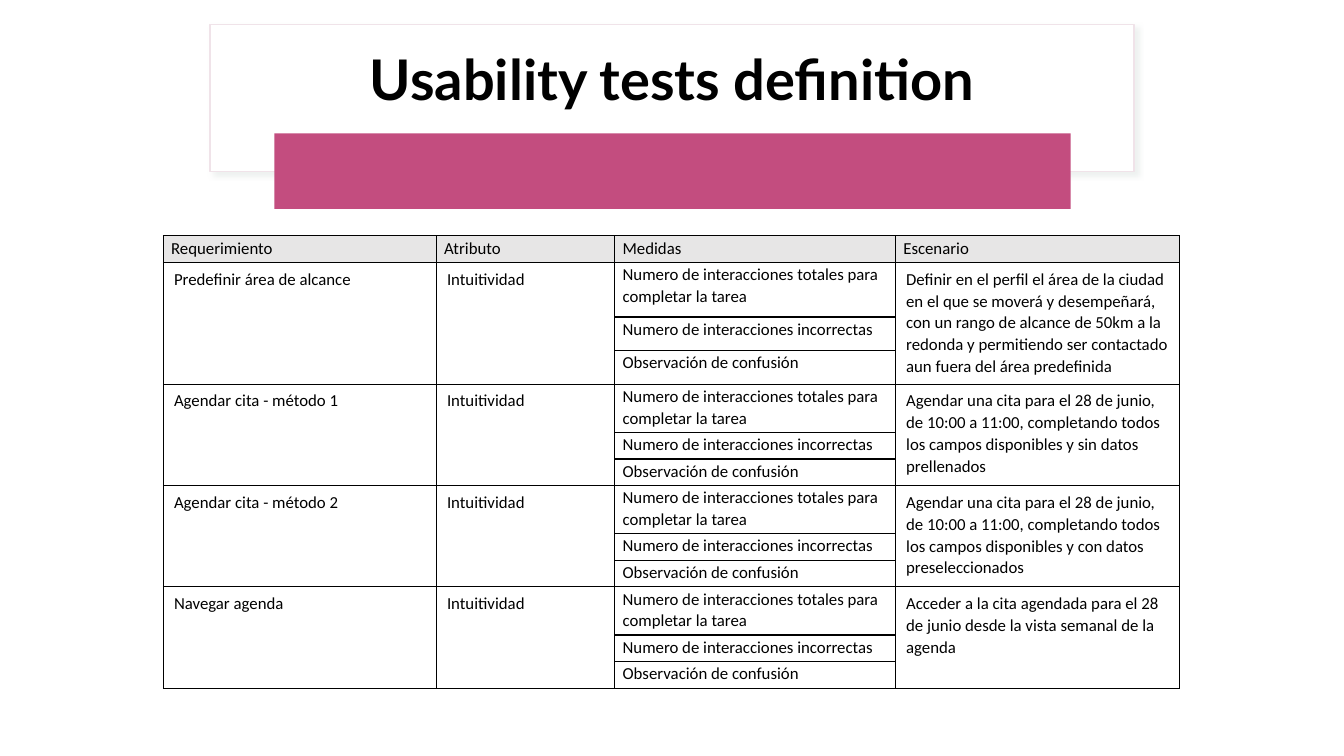
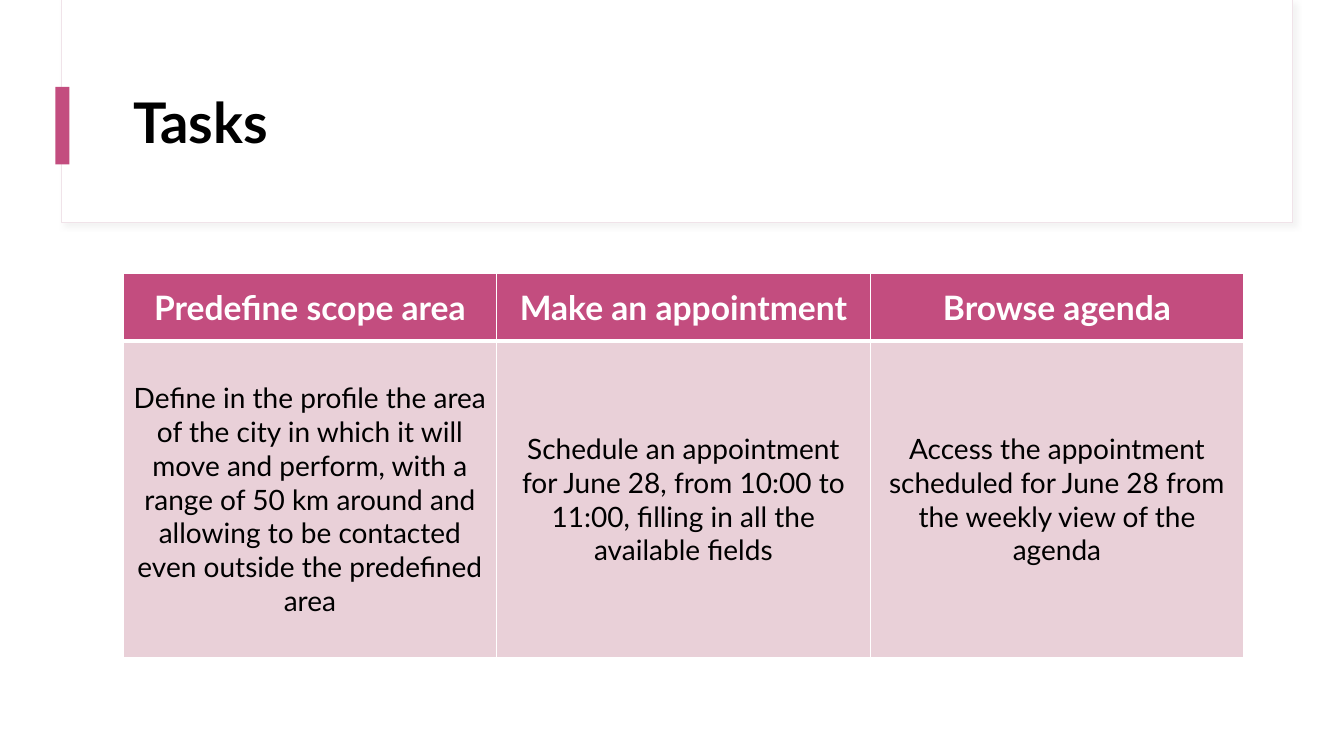
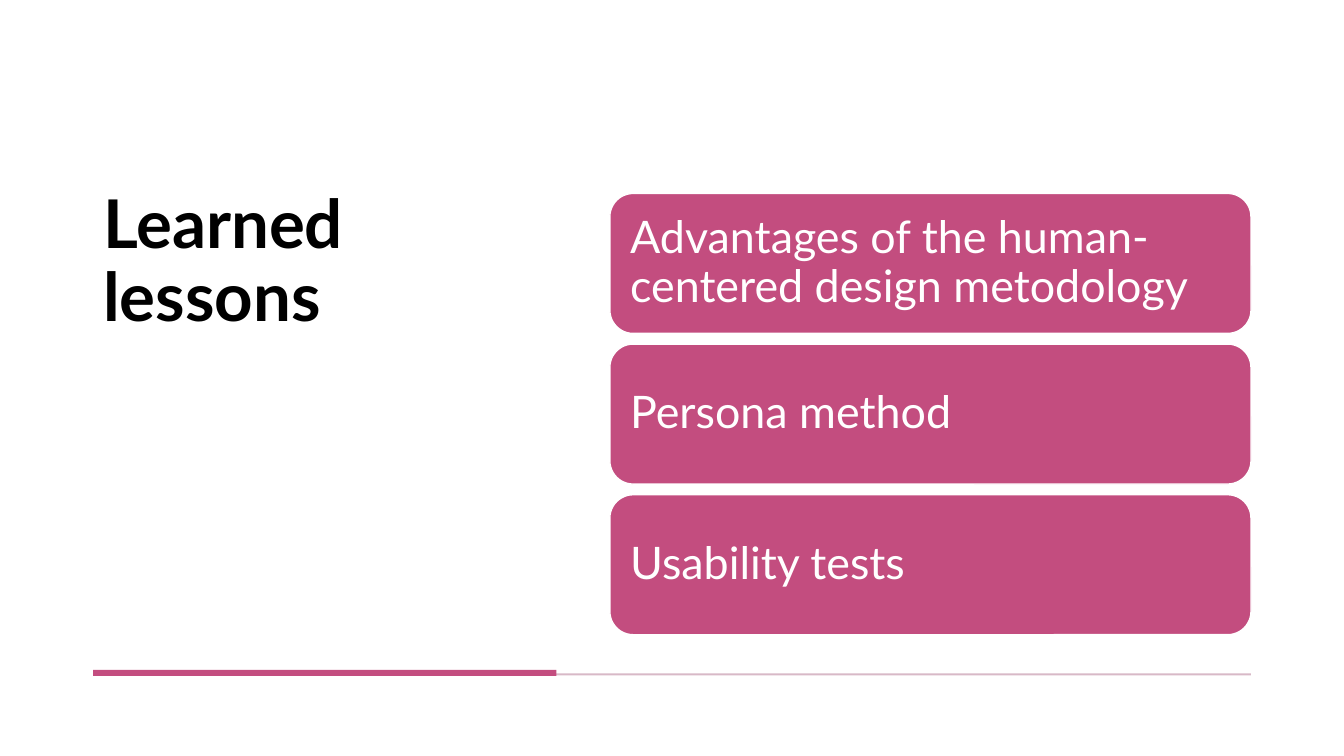
"""Build three slides on usability tests: definition, tasks and lessons."""
from dataclasses import dataclass
from typing import Any, Optional

import lxml.etree
import pptx
import pptx.dml.color
import pptx.enum.shapes
import pptx.enum.text
import pptx.oxml.ns
import pptx.slide
import pptx.table
import pptx.util

Pt = pptx.util.Pt
qn = pptx.oxml.ns.qn
SHAPE = pptx.enum.shapes.MSO_SHAPE
ALIGN = pptx.enum.text.PP_ALIGN
ANCHOR = pptx.enum.text.MSO_ANCHOR

PINK, PALE, FRAME, RULE = "C34D7F", "E9D0D8", "F0E3E9", "D8B9C7"
WHITE, BLACK, GREY = "FFFFFF", "000000", "E7E6E6"
HEADING_FONT, TABLE_FONT = "Lato", "Calibri"


@dataclass(frozen=True)
class Box:
    x: float
    y: float
    w: float
    h: float

    def lengths(self) -> tuple:
        return Pt(self.x), Pt(self.y), Pt(self.w), Pt(self.h)


@dataclass(frozen=True)
class Test:
    requirement: str
    scenario: str
    heights: tuple = (34.4, 19, 19)


@dataclass(frozen=True)
class Task:
    name: str
    description: str


HEADERS = ("Requerimiento", "Atributo", "Medidas", "Escenario")
ATTRIBUTE = "Intuitividad"
MEASURES = (
    "Numero de interacciones totales para completar la tarea",
    "Numero de interacciones incorrectas",
    "Observación de confusión",
)
TESTS = (
    Test("Predefinir área de alcance",
         "Definir en el perfil el área de la ciudad en el que se moverá y desempeñará, "
         "con un rango de alcance de 50km a la redonda y permitiendo ser contactado "
         "aun fuera del área predefinida", (39, 24, 24)),
    Test("Agendar cita - método 1",
         "Agendar una cita para el 28 de junio, de 10:00 a 11:00, completando todos "
         "los campos disponibles y sin datos prellenados"),
    Test("Agendar cita - método 2",
         "Agendar una cita para el 28 de junio, de 10:00 a 11:00, completando todos "
         "los campos disponibles y con datos preseleccionados"),
    Test("Navegar agenda",
         "Acceder a la cita agendada para el 28 de junio desde la vista semanal de la agenda"),
)
TASKS = (
    Task("Predefine scope area",
         "Define in the profile the area of the city in which it will move and perform, "
         "with a range of 50 km around and allowing to be contacted even outside "
         "the predefined area"),
    Task("Make an appointment",
         "Schedule an appointment for June 28, from 10:00 to 11:00, filling in all "
         "the available fields"),
    Task("Browse agenda",
         "Access the appointment scheduled for June 28 from the weekly view of the agenda"),
)
LESSONS = (
    "Advantages of the human-centered design metodology",
    "Persona method",
    "Usability tests",
)


def rgb(color: str) -> pptx.dml.color.RGBColor:
    return pptx.dml.color.RGBColor.from_string(color)


def put_text(target: Any, text: str, *, size: float, color: str = BLACK,
             font: str = HEADING_FONT, bold: bool = False, align: Any = ALIGN.LEFT,
             anchor: Any = ANCHOR.TOP, spacing: float = 1.0, after: float = 0,
             insets: tuple = (7.2, 3.6, 7.2, 3.6)) -> None:
    tf = target.text_frame
    tf.word_wrap = True
    holder = target if isinstance(target, pptx.table._Cell) else tf
    holder.vertical_anchor = anchor
    (holder.margin_left, holder.margin_top,
     holder.margin_right, holder.margin_bottom) = map(Pt, insets)
    p = tf.paragraphs[0]
    p.alignment, p.line_spacing, p.space_after = align, spacing, Pt(after)
    r = p.add_run()
    r.text = text
    r.font.name, r.font.size, r.font.bold = font, Pt(size), bold
    r.font.color.rgb = rgb(color)


def add_title(s: pptx.slide.Slide, text: str, box: Box, *, size: float = 40,
              align: Any = ALIGN.LEFT, anchor: Any = ANCHOR.MIDDLE) -> None:
    put_text(s.shapes.add_textbox(*box.lengths()), text, size=size, bold=True,
             align=align, anchor=anchor, spacing=0.9)


def add_block(s: pptx.slide.Slide, box: Box, fill: str, *, line: Optional[str] = None,
              width: float = 1, kind: Any = SHAPE.RECTANGLE,
              shadow: Optional[str] = None) -> Any:
    sp = s.shapes.add_shape(kind, *box.lengths())
    sp.shadow.inherit = False
    sp.fill.solid()
    sp.fill.fore_color.rgb = rgb(fill)
    if line:
        sp.line.color.rgb = rgb(line)
        sp.line.width = Pt(width)
    else:
        sp.line.fill.background()
    if shadow:
        effects = sp._element.spPr.find(qn("a:effectLst"))
        outer = lxml.etree.SubElement(effects, qn("a:outerShdw"), blurRad=str(Pt(4)),
                                      dist=str(Pt(3)), dir="2700000")
        tint = lxml.etree.SubElement(outer, qn("a:srgbClr"), val=shadow)
        lxml.etree.SubElement(tint, qn("a:alpha"), val="30000")
    return sp


def add_table(s: pptx.slide.Slide, x: float, y: float, widths: list,
              heights: list) -> pptx.table.Table:
    box = Box(x, y, sum(widths), sum(heights))
    table = s.shapes.add_table(len(heights), len(widths), *box.lengths()).table
    table.first_row = table.horz_banding = False
    for column, width in zip(table.columns, widths):
        column.width = Pt(width)
    for row, height in zip(table.rows, heights):
        row.height = Pt(height)
    return table


def style_cell(cell: pptx.table._Cell, fill: Optional[str], line: str,
               top: float = 1, bottom: float = 1) -> None:
    tc_pr = cell._tc.get_or_add_tcPr()
    for side, width in (("L", 1), ("R", 1), ("T", top), ("B", bottom)):
        ln = lxml.etree.SubElement(tc_pr, qn(f"a:ln{side}"), w=str(Pt(width)))
        solid = lxml.etree.SubElement(ln, qn("a:solidFill"))
        lxml.etree.SubElement(solid, qn("a:srgbClr"), val=line)
    if fill:
        cell.fill.solid()
        cell.fill.fore_color.rgb = rgb(fill)
    else:
        cell.fill.background()


def definition_slide(s: pptx.slide.Slide) -> None:
    add_block(s, Box(150, 17.5, 660, 105), WHITE, line=FRAME, shadow="C8D3CF")
    add_title(s, "Usability tests definition", Box(165.5, 24.5, 629, 68.5),
              align=ALIGN.CENTER)
    add_block(s, Box(196, 95.2, 568.8, 54), PINK)

    heights = [19] + [h for test in TESTS for h in test.heights]
    table = add_table(s, 116.7, 168.5, [195, 127.5, 200.5, 203], heights)
    for cell in table.iter_cells():
        style_cell(cell, None, BLACK)

    def write(row: int, col: int, text: str, insets: tuple) -> None:
        put_text(table.cell(row, col), text, size=12, font=TABLE_FONT,
                 spacing=1.07, after=8, insets=insets)

    tight, roomy = (5.6, 0.6, 5.6, 0), (7.6, 3.8, 7.6, 3.8)
    for col, header in enumerate(HEADERS):
        write(0, col, header, tight)
        table.cell(0, col).fill.solid()
        table.cell(0, col).fill.fore_color.rgb = rgb(GREY)
    for i, test in enumerate(TESTS):
        top = 1 + i * len(MEASURES)
        for col, text in ((0, test.requirement), (1, ATTRIBUTE), (3, test.scenario)):
            table.cell(top, col).merge(table.cell(top + len(MEASURES) - 1, col))
            write(top, col, text, roomy)
        for offset, measure in enumerate(MEASURES):
            write(top + offset, 2, measure, tight)


def tasks_slide(s: pptx.slide.Slide) -> None:
    add_block(s, Box(44, 0, 879, 159.2), WHITE, line=FRAME, width=0.75, shadow="D9D9D9")
    add_block(s, Box(44.5, 0, 878, 158.5), WHITE)
    add_block(s, Box(39.6, 62, 10, 55.4), PINK)
    add_title(s, "Tasks", Box(88, 43, 800, 93))

    table = add_table(s, 88, 195.4, [266.8] * len(TASKS), [48, 226.5])
    for col, task in enumerate(TASKS):
        head, body = table.cell(0, col), table.cell(1, col)
        style_cell(head, PINK, WHITE, bottom=3)
        style_cell(body, PALE, WHITE, top=3)
        put_text(head, task.name, size=24, color=WHITE, bold=True,
                 align=ALIGN.CENTER, anchor=ANCHOR.MIDDLE)
        put_text(body, task.description, size=20,
                 align=ALIGN.CENTER, anchor=ANCHOR.MIDDLE)


def lessons_slide(s: pptx.slide.Slide) -> None:
    add_title(s, "Learned lessons", Box(66.5, 132.5, 320, 327), size=48, anchor=ANCHOR.TOP)
    for i, lesson in enumerate(LESSONS):
        sp = add_block(s, Box(435.6, 138.2 + i * 107.6, 458, 100), PINK, line=WHITE,
                       kind=SHAPE.ROUNDED_RECTANGLE)
        put_text(sp, lesson, size=32, color=WHITE, anchor=ANCHOR.MIDDLE,
                 spacing=0.9, insets=(9.6,) * 4)
    add_block(s, Box(66.5, 481, 827, 1.4), RULE)
    add_block(s, Box(66.5, 478.5, 331, 4.3), PINK)


def main() -> None:
    prs = pptx.Presentation()
    prs.slide_width, prs.slide_height = Pt(960), Pt(540)
    for build in (definition_slide, tasks_slide, lessons_slide):
        build(prs.slides.add_slide(prs.slide_layouts[6]))
    prs.save("out.pptx")


if __name__ == "__main__":
    main()
